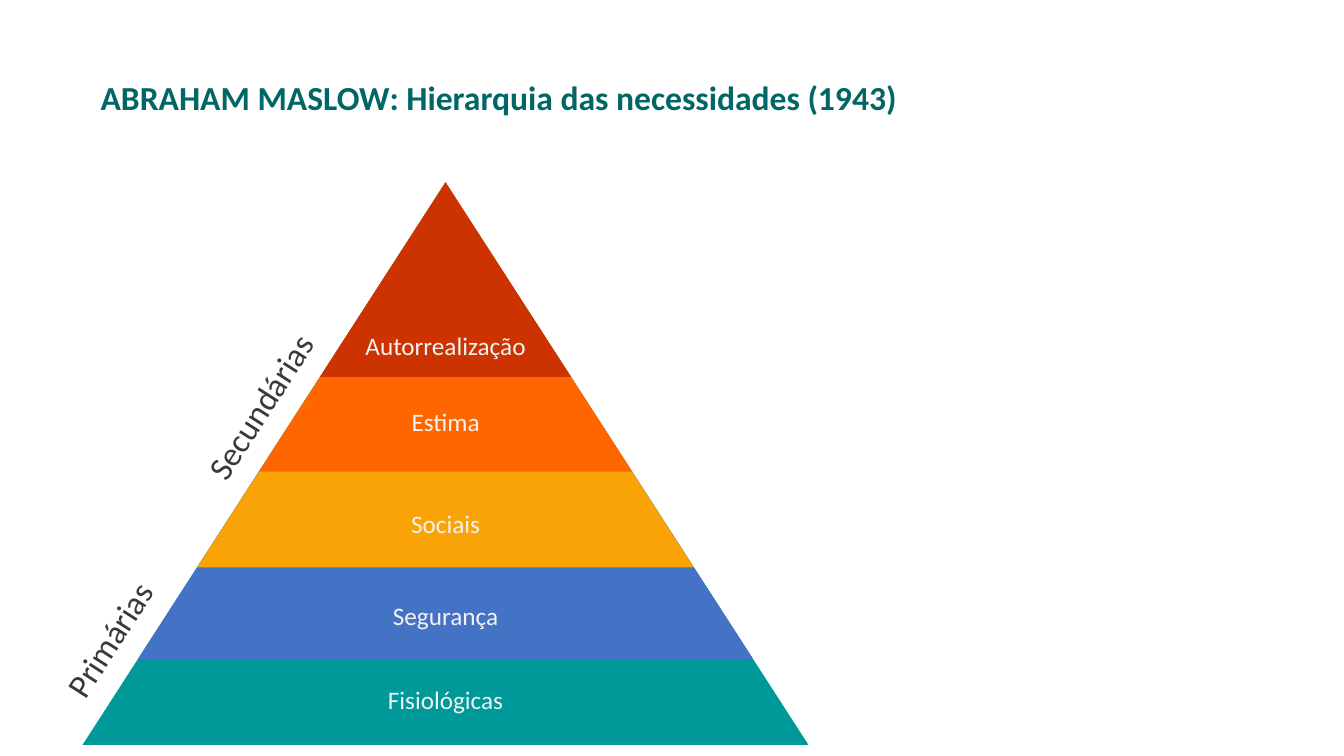
from pptx import Presentation
from pptx import util as u
from pptx.dml import color
from pptx.enum import shapes, text

WIDTH, HEIGHT = 13.33, 7.5

deck = Presentation()
deck.slide_width, deck.slide_height = u.Inches(WIDTH), u.Inches(HEIGHT)
page = deck.slides.add_slide(deck.slide_layouts[6])


def paint(target, shade):
    """Set a fill or font colour from a hex string."""
    target.rgb = color.RGBColor.from_string(shade)


def write(words, left, top, width, height, shade, align, **font):
    box = page.shapes.add_textbox(*map(u.Inches, (left, top, width, height)))
    box.text_frame.word_wrap = True
    para = box.text_frame.paragraphs[0]
    para.alignment = align
    span = para.add_run()
    span.text = words
    for name, value in {"name": "Calibri", **font}.items():
        setattr(span.font, name, value)
    paint(span.font.color, shade)
    return box


# Title
write("ABRAHAM MASLOW: Hierarquia das necessidades (1943)", 0.9, 0.71, 8.76, 0.5,
      "006666", text.PP_ALIGN.LEFT, size=u.Pt(24), bold=True)

# Pyramid: nested triangles share one apex, the largest at the back
AXIS, APEX = WIDTH * 0.3315, 1.81
SLOPE = 7.2 / 5.58  # width gained per inch of height
LABEL_WIDTH = WIDTH * 0.15
levels = [  # name, triangle height, label top, fill
    ("Fisiológicas", 5.58, 6.74, "009999"),
    ("Segurança", 4.73, 5.91, "4472C4"),
    ("Sociais", 3.82, 4.99, "F9A307"),
    ("Estima", 2.87, 3.98, "FF6600"),
    ("Autorrealização", 1.93, 3.23, "CC3300"),
]
for name, height, label_top, shade in levels:
    width = height * SLOPE
    triangle = page.shapes.add_shape(
        shapes.MSO_SHAPE.ISOSCELES_TRIANGLE,
        *map(u.Inches, (AXIS - width / 2, APEX, width, height)))
    triangle.shadow.inherit = False
    triangle.fill.solid()
    paint(triangle.fill.fore_color, shade)
    triangle.line.fill.background()

# Level names, in front of every triangle
for name, height, label_top, shade in levels:
    write(name, AXIS - LABEL_WIDTH / 2, label_top, LABEL_WIDTH, 0.4,
          "F2F2F2", text.PP_ALIGN.CENTER, size=u.Pt(18))

# Group names along the left edge
for name, left, top, width in [("Primárias ", 0.28, 6.06, 1.64),
                               ("Secundárias ", 1.59, 3.75, 2.01)]:
    group_label = write(name, left, top, width, 0.5,
                        "3B3838", text.PP_ALIGN.CENTER, size=u.Pt(24))
    group_label.rotation = 302.7

deck.save("out.pptx")
